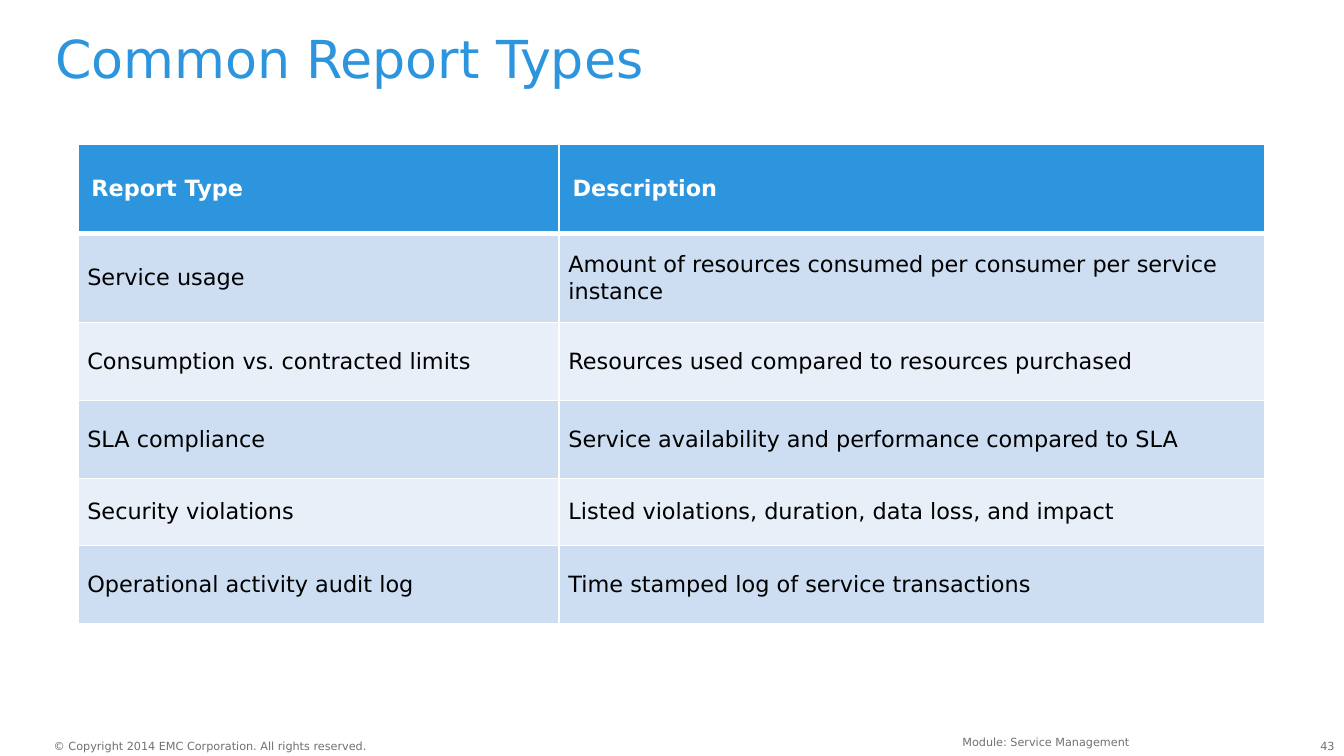
from pptx import Presentation
from pptx.dml.color import RGBColor
from pptx.enum.text import MSO_ANCHOR, PP_ALIGN
from pptx.oxml import parse_xml
from pptx.oxml.ns import nsdecls
from pptx.util import Inches, Pt

FONT = "DejaVu Sans"
SLIDE_WIDTH = 10
SLIDE_HEIGHT = SLIDE_WIDTH * 9 / 16
COLORS = {
    "blue": "2C95DD",
    "grey": "717074",
    "white": "FFFFFF",
    "black": "000000",
    "band_dark": "CDDDF2",
    "band_light": "E8EFF9",
}
COLUMN_WIDTHS = [3.58, 5.25]
ROW_HEIGHTS = [0.67, 0.66, 0.58, 0.58, 0.5, 0.58]
REPORTS = [
    ("Report Type", "Description"),
    ("Service usage", "Amount of resources consumed per consumer per service instance"),
    ("Consumption vs. contracted limits", "Resources used compared to resources purchased"),
    ("SLA compliance", "Service availability and performance compared to SLA"),
    ("Security violations", "Listed violations, duration, data loss, and impact"),
    ("Operational activity audit log", "Time stamped log of service transactions"),
]


def rgb(name):
    return RGBColor.from_string(COLORS[name])


class SlideBuilder:
    """Holds the text style and the slide being filled."""

    def __init__(self, slide):
        self.slide = slide

    def style(self, p, size, color, bold=False):
        p.font.name = FONT
        p.font.size = Pt(size)
        p.font.bold = bold
        p.font.color.rgb = rgb(color)

    def text(self, text, left, top, width, height, size=6, color="grey",
             align=PP_ALIGN.LEFT, inset=(0, 0), spacing=None, wrap=True):
        box = self.slide.shapes.add_textbox(
            Inches(left), Inches(top), Inches(width), Inches(height))
        tf = box.text_frame
        tf.word_wrap = wrap
        tf.margin_left = tf.margin_right = Inches(inset[0])
        tf.margin_top = tf.margin_bottom = Inches(inset[1])
        p = tf.paragraphs[0]
        p.text = text
        p.alignment = align
        p.line_spacing = spacing
        self.style(p, size, color)

    def borders(self, cell, bottom=1, top=1):
        """Draw white cell edges; they must precede the fill in the XML."""
        tc_pr = cell._tc.get_or_add_tcPr()
        edges = [("L", 1), ("R", 1), ("T", top), ("B", bottom)]
        for i, (side, width) in enumerate(edges):
            tc_pr.insert(i, parse_xml(
                f'<a:ln{side} {nsdecls("a")} w="{Pt(width)}"><a:solidFill>'
                f'<a:srgbClr val="{COLORS["white"]}"/></a:solidFill></a:ln{side}>'))

    def cell(self, cell, text, row):
        header = row == 0
        fill = "blue" if header else "band_dark" if row % 2 else "band_light"
        cell.fill.solid()
        cell.fill.fore_color.rgb = rgb(fill)
        cell.vertical_anchor = MSO_ANCHOR.MIDDLE
        p = cell.text_frame.paragraphs[0]
        p.text = text
        if not header:
            cell.margin_left = cell.margin_right = Inches(0.07)
            cell.margin_top = cell.margin_bottom = 0
            p.space_after = Pt(6)
        self.style(p, 12, "white" if header else "black", header)
        self.borders(cell, bottom=3 if header else 1, top=3 if row == 1 else 1)

    def table(self, rows, left, top, widths, heights):
        table = self.slide.shapes.add_table(
            len(rows), len(widths), Inches(left), Inches(top),
            Inches(sum(widths)), Inches(sum(heights))).table
        for column, width in zip(table.columns, widths):
            column.width = Inches(width)
        for r, (texts, height) in enumerate(zip(rows, heights)):
            table.rows[r].height = Inches(height)
            for c, text in enumerate(texts):
                self.cell(table.cell(r, c), text, r)


def main():
    prs = Presentation()
    prs.slide_width, prs.slide_height = Inches(SLIDE_WIDTH), Inches(SLIDE_HEIGHT)
    s = SlideBuilder(prs.slides.add_slide(prs.slide_layouts[6]))

    s.text("43", 9.62, 5.5, 0.31, 0.1, align=PP_ALIGN.RIGHT)
    s.text("© Copyright 2014 EMC Corporation. All rights reserved.",
           0.4, 5.5, 2.37, 0.1, wrap=False)
    s.text("Common Report Types", 0.41, 0.25, 9.25, 0.5,
           size=28, color="blue", spacing=0.9)
    s.text("Module: Service Management", 2.83, 5.42, 5.67, 0.15,
           align=PP_ALIGN.RIGHT, inset=(0.1, 0.05))
    s.table(REPORTS, 0.58, 1.07, COLUMN_WIDTHS, ROW_HEIGHTS)

    prs.save("out.pptx")


if __name__ == "__main__":
    main()
